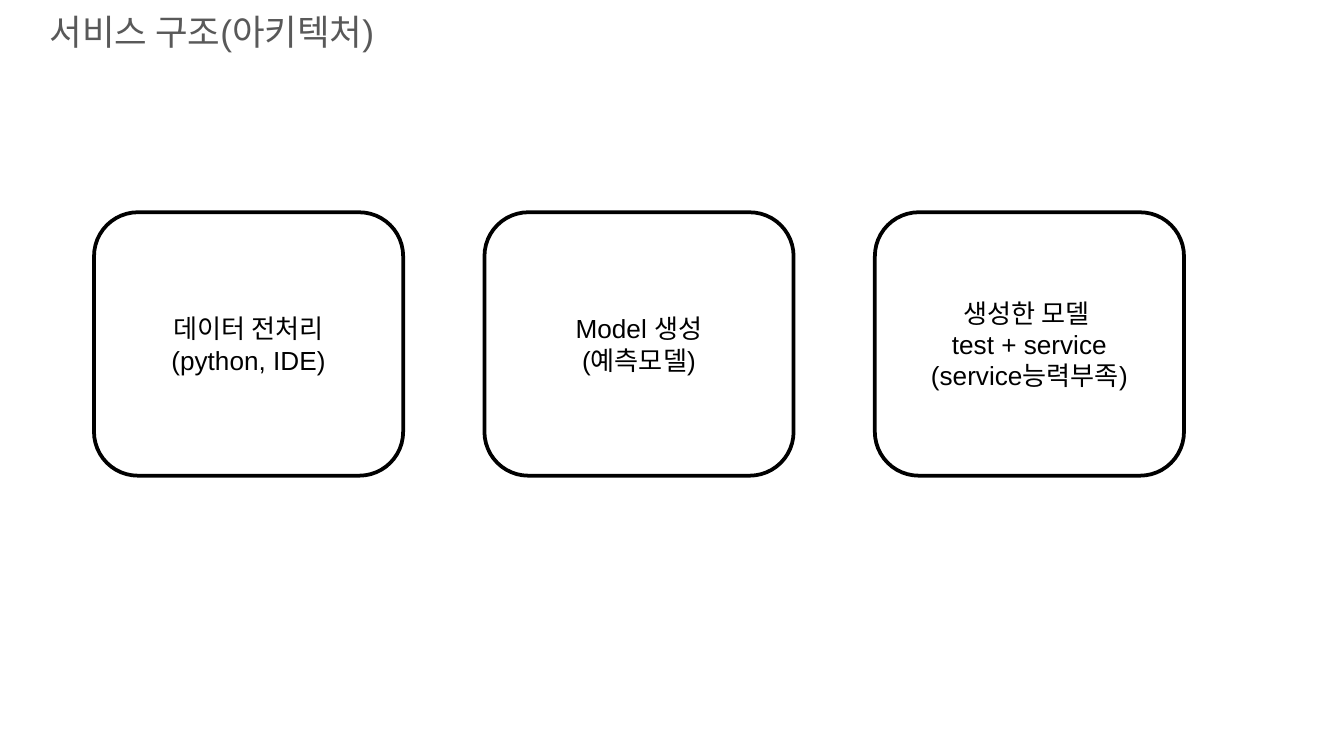
"""Build the service architecture slide with its three process stages."""
from pptx import Presentation
from pptx.dml.color import RGBColor
from pptx.enum.shapes import MSO_SHAPE
from pptx.enum.text import MSO_ANCHOR, PP_ALIGN
from pptx.util import Inches, Pt

ROUNDED = MSO_SHAPE.ROUNDED_RECTANGLE
MIDDLE = MSO_ANCHOR.MIDDLE
LEFT, CENTER = PP_ALIGN.LEFT, PP_ALIGN.CENTER

THEME = {
    "paper": RGBColor(0xFF, 0xFF, 0xFF),
    "outline": RGBColor(0x00, 0x00, 0x00),
    "outline_width": Pt(2),
    "heading": {"name": "Arial", "size": Pt(19), "color": RGBColor(0x59, 0x59, 0x59)},
    "stage": {"name": "Arial", "size": Pt(14), "color": RGBColor(0x00, 0x00, 0x00)},
}
FRAME = {
    "word_wrap": True,
    "vertical_anchor": MIDDLE,
    "margin_left": Inches(0.08),
    "margin_right": Inches(0.08),
    "margin_top": Inches(0.04),
    "margin_bottom": Inches(0.04),
}
STAGES = [
    (0, ["데이터 전처리", "(python, IDE)"]),
    (2, ["생성한 모델 ", "test + service", "(service능력부족)"]),
    (1, ["Model 생성", "(예측모델)"]),
]
FIRST_COLUMN, LAST_COLUMN = Inches(0.7), Inches(6.51)
COLUMN_PITCH = (LAST_COLUMN - FIRST_COLUMN) // (len(STAGES) - 1)
STAGE_ROW, STAGE_WIDTH, STAGE_HEIGHT = Inches(1.58), Inches(2.3), Inches(1.96)


def write_lines(frame, lines, style, alignment):
    for setting, value in FRAME.items():
        setattr(frame, setting, value)
    for index, line in enumerate(lines):
        paragraph = frame.paragraphs[0] if index == 0 else frame.add_paragraph()
        paragraph.alignment = alignment
        words = paragraph.add_run()
        words.text = line
        words.font.color.rgb = style["color"]
        for setting in ("name", "size"):
            setattr(words.font, setting, style[setting])


deck = Presentation()
deck.slide_width = Inches(10)
deck.slide_height = deck.slide_width * 9 // 16
slide = deck.slides.add_slide(deck.slide_layouts[6])
slide.background.fill.solid()
slide.background.fill.fore_color.rgb = THEME["paper"]

heading = slide.shapes.add_textbox(Inches(0.29), Inches(0.13), Inches(9.36), Inches(0.21))
write_lines(heading.text_frame, ["서비스 구조(아키텍처)"], THEME["heading"], LEFT)

for column, lines in STAGES:
    stage = slide.shapes.add_shape(
        ROUNDED, FIRST_COLUMN + column * COLUMN_PITCH, STAGE_ROW, STAGE_WIDTH, STAGE_HEIGHT
    )
    stage.shadow.inherit = False
    stage.fill.solid()
    stage.fill.fore_color.rgb = THEME["paper"]
    stage.line.color.rgb = THEME["outline"]
    stage.line.width = THEME["outline_width"]
    write_lines(stage.text_frame, lines, THEME["stage"], CENTER)

deck.save("out.pptx")
